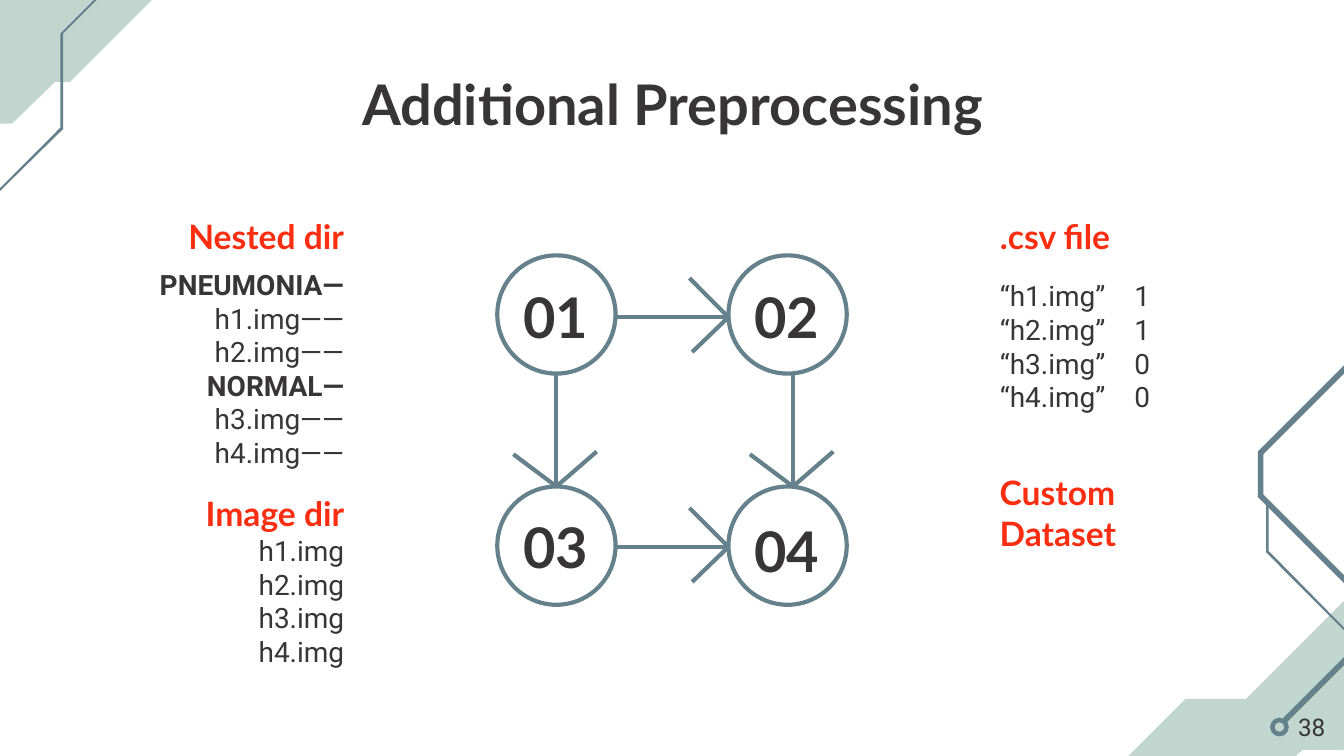
"""Build the Additional Preprocessing slide."""
from lxml.etree import SubElement
from pptx import Presentation
from pptx.dml.color import RGBColor
from pptx.enum.shapes import MSO_CONNECTOR, MSO_SHAPE
from pptx.enum.text import MSO_ANCHOR, MSO_AUTO_SIZE, PP_ALIGN
from pptx.oxml.ns import qn
from pptx.util import Pt

PX = 9144
DARK = RGBColor(0x38, 0x35, 0x36)
RED = RGBColor(0xFC, 0x2E, 0x12)
SLATE = RGBColor(0x64, 0x81, 0x8C)
SAGE = RGBColor(0xC1, 0xD6, 0xCE)
LEFT, CENTER, RIGHT = PP_ALIGN.LEFT, PP_ALIGN.CENTER, PP_ALIGN.RIGHT

deck = Presentation()
deck.slide_width = 1000 * PX
deck.slide_height = deck.slide_width * 9 // 16
page = deck.slides.add_slide(deck.slide_layouts[4])
shapes = page.shapes


def write(box, place, lines, size, font, color, align, bold=False, anchor=MSO_ANCHOR.MIDDLE):
    box.left, box.top, box.width, box.height = (value * PX for value in place)
    frame = box.text_frame
    frame.word_wrap = True
    frame.auto_size = MSO_AUTO_SIZE.NONE
    frame.vertical_anchor = anchor
    frame.margin_left = frame.margin_right = frame.margin_top = frame.margin_bottom = 10 * PX
    frame.text = "\n".join(lines)
    for para in frame.paragraphs:
        para.alignment = align
        para.space_before = Pt(0)
        props = para._p.get_or_add_pPr()
        props.set("marL", "0")
        props.set("indent", "0")
        SubElement(props, qn("a:buNone"))
        if "\t" in para.text:
            tabs = SubElement(props, qn("a:tabLst"))
            SubElement(tabs, qn("a:tab"), pos=str(100 * PX), algn="l")
        para.font.size = Pt(size)
        para.font.name = font
        para.font.color.rgb = color
        para.font.bold = bold or para.text in ("PNEUMONIA—", "NORMAL—")


def connect(start, end):
    line = shapes.add_connector(MSO_CONNECTOR.STRAIGHT, *(value * PX for value in start + end))
    line.line.color.rgb = SLATE
    line.line.width = Pt(2.25)
    SubElement(line._element.spPr, qn("a:effectLst"))


corner_outlines = [
    (SAGE, [(119, -72), (65, -18), (16, -18), (-94, 92), (9, 92), (41, 61), (52, 61), (185, -72)]),
    (SLATE, [(121, -51), (45, 25), (45, 95), (-12, 152), (-11, 153), (47, 96), (47, 25), (122, -50)]),
    (SAGE, [(1027, 420), (927, 520), (882, 520), (825, 577), (825, 603), (789, 639), (887, 639),
            (969, 558), (999, 558), (1058, 499), (1058, 483), (1121, 420)]),
    (SLATE, [(1218, 132), (1121, 229), (1043, 229), (936, 336), (936, 370), (1001, 435),
             (1001, 488), (953, 536), (956, 539), (1005, 490), (1005, 433), (940, 368),
             (940, 338), (1045, 233), (1122, 233), (1221, 134)]),
    (SLATE, [(942, 374), (942, 411), (1002, 471), (1003, 470), (944, 410), (944, 374)]),
]
for color, points in corner_outlines:
    builder = shapes.build_freeform(*points[0], scale=PX)
    builder.add_line_segments(points[1:])
    outline = builder.convert_to_shape()
    outline.shadow.inherit = False
    outline.fill.solid()
    outline.fill.fore_color.rgb = color
    outline.line.fill.background()

ring = shapes.add_shape(MSO_SHAPE.DONUT, 945 * PX, 534 * PX, 14 * PX, 14 * PX)
ring.adjustments[0] = 0.25
ring.shadow.inherit = False
ring.fill.solid()
ring.fill.fore_color.rgb = SLATE
ring.line.fill.background()

write(shapes.title, (79, 42, 843, 65), ["Additional Preprocessing"], 30, "Lato", DARK, CENTER,
      True, MSO_ANCHOR.TOP)

steps = [("01", 370, 190, 191), ("02", 542, 190, 191), ("03", 370, 362, 362), ("04", 542, 362, 365)]
for number, left, top, label_top in steps:
    circle = shapes.add_shape(MSO_SHAPE.OVAL, left * PX, top * PX, 88 * PX, 88 * PX)
    circle.shadow.inherit = False
    circle.fill.background()
    circle.line.color.rgb = SLATE
    circle.line.width = Pt(2.25)
    label = shapes.add_textbox(0, 0, 0, 0)
    write(label, (left - 4, label_top, 95, 88), [number], 30, "Lato", DARK, CENTER, True)

for y in (236, 407):
    tip = (542, y)
    for start in ((458, y), (513, y - 29), (515, y + 26)):
        connect(start, tip)
for x in (414, 590):
    tip = (x, 362)
    for start in ((x, 278), (x - 32, 338), (x + 30, 336)):
        connect(start, tip)

images = ["h1.img", "h2.img", "h3.img", "h4.img"]
nested = [f"{image}——" for image in images]
nested = ["PNEUMONIA—", *nested[:2], "NORMAL—", *nested[2:]]
labels = [f"“{image}”\t{label}" for image, label in zip(images, (1, 1, 0, 0))]
heading_style, list_style = (18, "Lato", RED), (15, "Roboto", DARK)
blocks = [
    (79, 155, 41, ["Nested dir"], heading_style, RIGHT, True),
    (79, 230, 88, nested, list_style, RIGHT, False),
    (734, 155, 41, [".csv file"], heading_style, LEFT, True),
    (734, 230, 55, labels, list_style, LEFT, False),
    (79, 361, 41, ["Image dir"], heading_style, RIGHT, True),
    (79, 403, 88, images, list_style, RIGHT, False),
    (734, 361, 41, ["Custom Dataset"], heading_style, LEFT, True),
]
bodies = list(page.placeholders)[1:]
for left, top, height, lines, style, align, bold in blocks:
    box = bodies.pop(0) if bodies else shapes.add_textbox(0, 0, 0, 0)
    write(box, (left, top, 187, height), lines, *style, align, bold)

page_number = shapes.add_textbox(0, 0, 0, 0)
write(page_number, (936, 519, 60, 43), ["38"], 13, "Roboto", DARK, RIGHT)

deck.save("out.pptx")
